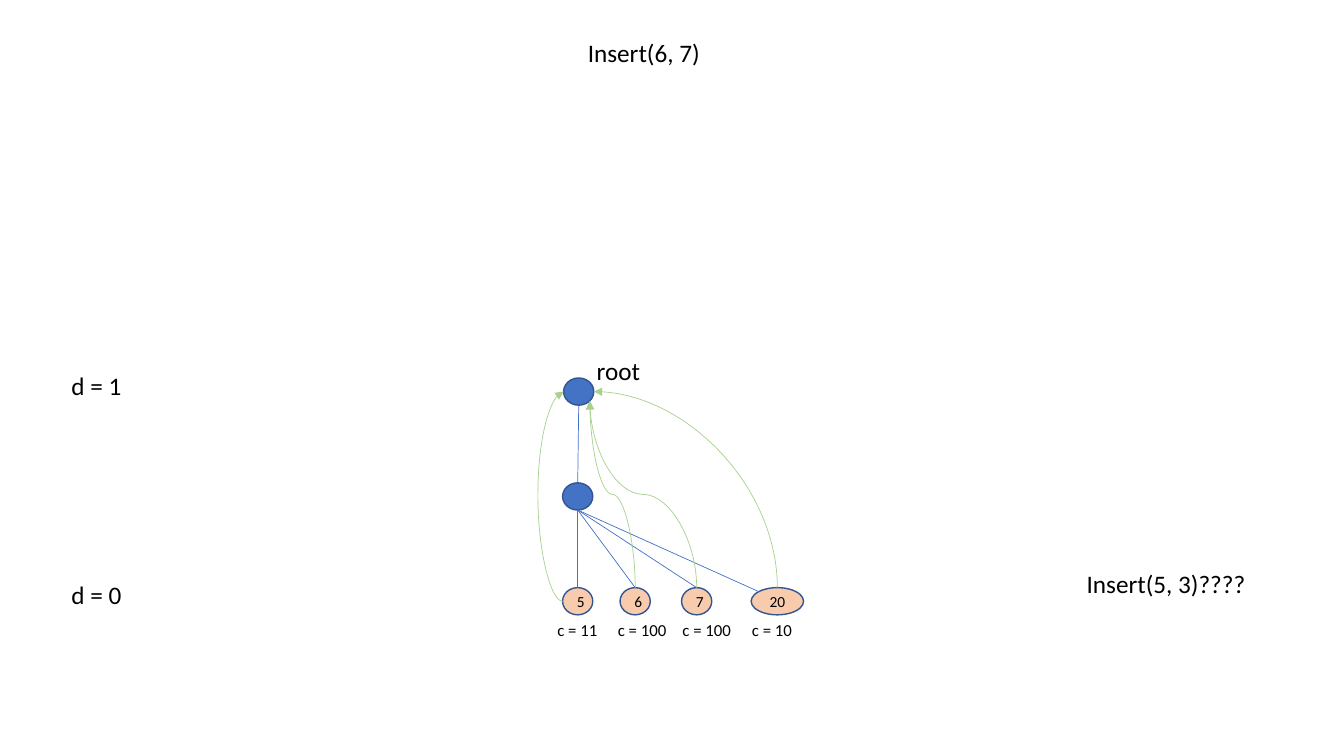
from lxml.etree import SubElement
from pptx import Presentation
from pptx.dml.color import RGBColor
from pptx.enum.shapes import MSO_CONNECTOR as CONN, MSO_SHAPE
from pptx.enum.text import MSO_ANCHOR, MSO_AUTO_SIZE, PP_ALIGN
from pptx.oxml.ns import qn
from pptx.util import Inches, Pt

TITLE = ("Insert(6, 7)", 5.73, 0.32, 1.33)
LABELS = [  # text, left, top, width
    ("d = 1", 0.61, 3.62, 0.71),
    ("d = 0", 0.61, 5.7, 0.71),
    ("root", 5.82, 3.48, 0.64),
    ("Insert(5, 3)????", 10.68, 5.59, 1.8),
]
LEAVES = [  # key, centre, node width, cost, cost left, cost width
    ("5", 5.73, 0.3, "c = 11", 5.43, 0.61),
    ("6", 6.3, 0.3, "c = 100", 6.03, 0.69),
    ("7", 6.91, 0.3, "c = 100", 6.67, 0.69),
    ("20", 7.71, 0.52, "c = 10", 7.36, 0.61),
]
BLUE, OUTLINE, PEACH, GREEN, BLACK = "4472C4", "325491", "F8CBAD", "A9D18E", "000000"
NODE_W, NODE_H = 0.3, 0.27
ROOT_Y, LEVEL_GAP = 3.75, 1.04
ROOT_X, TRUNK_X = 5.74, 5.73
INNER_Y, LEAF_Y = ROOT_Y + LEVEL_GAP, ROOT_Y + 2 * LEVEL_GAP
ROOT_MID = ROOT_Y + NODE_H / 2

prs = Presentation()
prs.slide_width, prs.slide_height = Inches(13.33), Inches(7.5)
s = prs.slides.add_slide(prs.slide_layouts[5])


def rgb(color):
    return RGBColor.from_string(color)


def write(sp, text, size=18, align=PP_ALIGN.LEFT, anchor=MSO_ANCHOR.TOP, wrap=False):
    tf = sp.text_frame
    tf.word_wrap, tf.vertical_anchor = wrap, anchor
    tf.auto_size = MSO_AUTO_SIZE.NONE if wrap else MSO_AUTO_SIZE.SHAPE_TO_FIT_TEXT
    p = tf.paragraphs[0]
    p.alignment = align
    r = p.add_run()
    r.text = text
    r.font.name, r.font.size = "Calibri", Pt(size)
    r.font.color.rgb = rgb(BLACK)


def label(text, x, y, w, h=0.4, size=18):
    write(s.shapes.add_textbox(*map(Inches, (x, y, w, h))), text, size)


def node(cx, y, w=NODE_W, fill=BLUE, key=None):
    sp = s.shapes.add_shape(MSO_SHAPE.OVAL, *map(Inches, (cx - w / 2, y, w, NODE_H)))
    sp.shadow.inherit = False
    sp.fill.solid()
    sp.fill.fore_color.rgb = rgb(fill)
    sp.line.color.rgb, sp.line.width = rgb(OUTLINE), Pt(1)
    if key:
        write(sp, key, 11, PP_ALIGN.CENTER, MSO_ANCHOR.MIDDLE, wrap=True)


def link(kind, start, end, color=BLUE):
    c = s.shapes.add_connector(kind, *map(Inches, (*start, *end)))
    c.line.color.rgb, c.line.width = rgb(color), Pt(0.5)
    SubElement(c._element.spPr, qn("a:effectLst"))
    return c


def back_link(start, end, preset="curvedConnector3", turn=270, adjust=None):
    """Curved arrow up to the root; a quarter turn swaps the sides of its frame."""
    (x1, y1), (x2, y2) = start, end
    w, h = abs(x2 - x1), abs(y2 - y1)
    if turn == 270:
        w, h = h, w
    left, top = (x1 + x2 - w) / 2, (y1 + y2 - h) / 2
    c = link(CONN.CURVE, (left, top), (left + w, top + h), GREEN)
    spPr = c._element.spPr
    xfrm, geom = spPr.find(qn("a:xfrm")), spPr.find(qn("a:prstGeom"))
    xfrm.set("rot", str(turn * 60000))
    xfrm.set("flipV" if turn == 270 else "flipH", "1")
    geom.set("prst", preset)
    if adjust is not None:
        SubElement(geom.find(qn("a:avLst")), qn("a:gd"), name="adj1",
                   fmla=f"val {round(adjust * 100000)}")
    SubElement(spPr.find(qn("a:ln")), qn("a:tailEnd"), type="triangle")


title = s.shapes.title
text, x, y, w = TITLE
title.left, title.top, title.width, title.height = map(Inches, (x, y, w, 0.4))
write(title, text)
for item in LABELS:
    label(*item)

node(ROOT_X, ROOT_Y)
node(TRUNK_X, INNER_Y)
link(CONN.STRAIGHT, (ROOT_X, ROOT_Y + NODE_H), (TRUNK_X, INNER_Y))
for key, cx, w, cost, cost_x, cost_w in LEAVES:
    node(cx, LEAF_Y, w, PEACH, key)
    label(cost, cost_x, LEAF_Y + NODE_H, cost_w, 0.3, 12)
    # the wide leaf is met at its upper left
    tip = (cx, LEAF_Y) if w == NODE_W else (cx - 0.35 * w, LEAF_Y + 0.15 * NODE_H)
    link(CONN.STRAIGHT, (TRUNK_X, INNER_Y + NODE_H), tip)

first, *middle, last = [leaf[1] for leaf in LEAVES]
back_link((first - NODE_W / 2, LEAF_Y + NODE_H / 2), (ROOT_X - NODE_W / 2, ROOT_MID),
          turn=180, adjust=-25)
for cx in middle:
    back_link((cx, LEAF_Y), (ROOT_X + 0.11, ROOT_Y + 0.23), adjust=0.5)
back_link((last, LEAF_Y), (ROOT_X + NODE_W / 2, ROOT_MID), "curvedConnector2")

prs.save("out.pptx")
